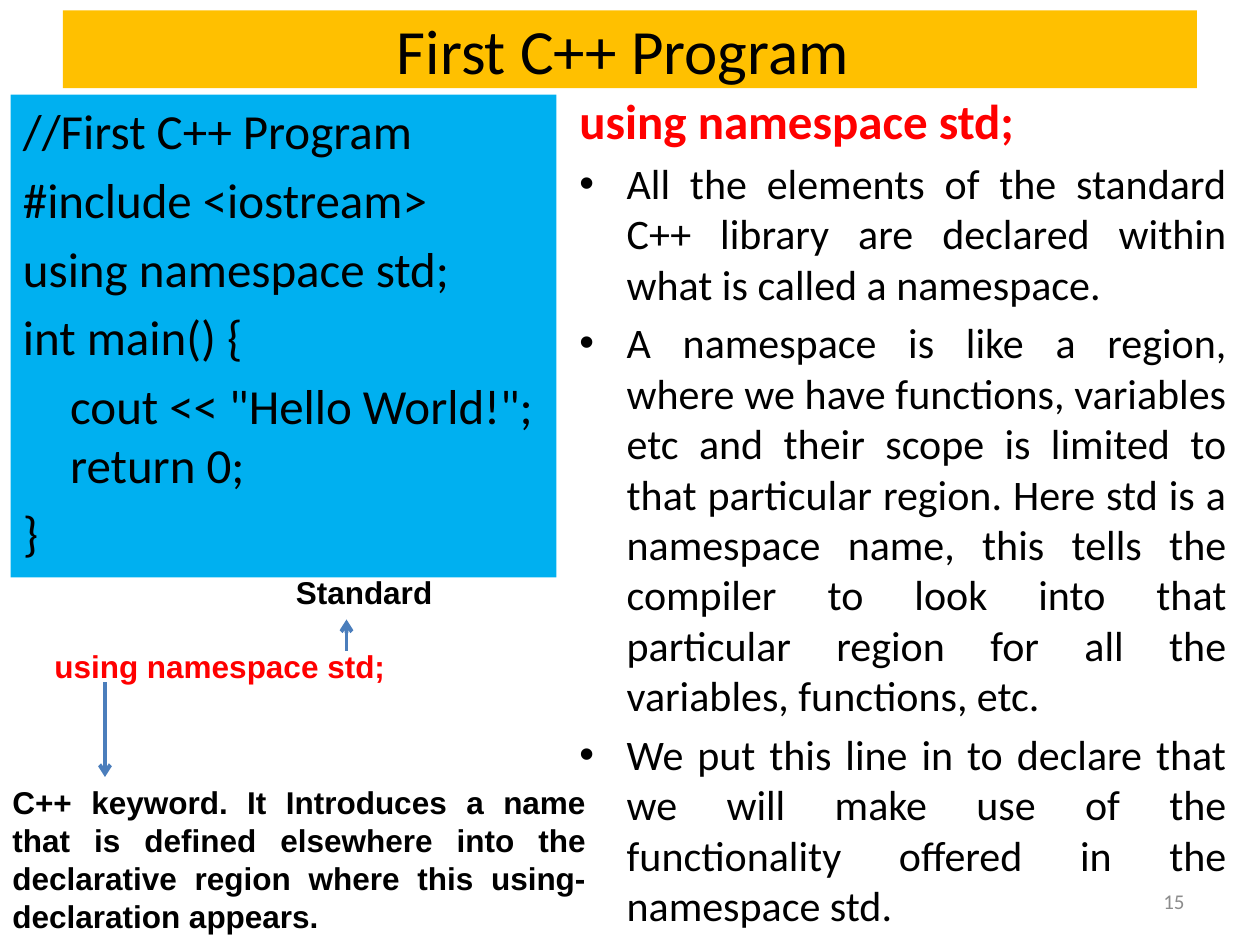
from lxml.etree import SubElement
from pptx import Presentation
from pptx.dml.color import RGBColor
from pptx.enum.shapes import MSO_CONNECTOR, MSO_SHAPE
from pptx.enum.text import MSO_ANCHOR as ANCHOR, PP_ALIGN as ALIGN
from pptx.oxml.ns import qn
from pptx.util import Inches, Pt

BLACK = RGBColor(0x00, 0x00, 0x00)
RED = RGBColor(0xFF, 0x00, 0x00)
GOLD = RGBColor(0xFF, 0xC0, 0x00)
SKY = RGBColor(0x00, 0xB0, 0xF0)
STEEL = RGBColor(0x4B, 0x7E, 0xBC)
GREY = RGBColor(0x8C, 0x8C, 0x8C)

CODE = [
    "//First C++ Program",
    "#include <iostream>",
    "using namespace std;",
    "int main() {",
    "\tcout << \"Hello World!\";\vreturn 0;",
    "}",
]
DIRECTIVE = "using namespace std;"
POINTS = [
    "All the elements of the standard C++ library are declared within what is "
    "called a namespace.",
    "A namespace is like a region, where we have functions, variables etc and "
    "their scope is limited to that particular region. Here std is a namespace "
    "name, this tells the compiler to look into that particular region for all "
    "the variables, functions, etc. ",
    "We put this line in to declare that we will make use of the functionality "
    "offered in the namespace std. ",
]
KEYWORD_NOTE = (
    "C++ keyword. It Introduces a name that is defined elsewhere into the "
    "declarative region where this using-declaration appears."
)


def grid(*cells):
    """Turn grid cells, twelve to the inch, into lengths."""
    return [Inches(cell / 12) for cell in cells]


class SlideBuilder:
    def __init__(self, slide, font="Calibri", note_font="Arial"):
        self.slide = slide
        self.font = font
        self.note_font = note_font

    def panel(self, box, fill, anchor=ANCHOR.TOP):
        sp = self.slide.shapes.add_shape(MSO_SHAPE.RECTANGLE, *grid(*box))
        sp.shadow.inherit = False
        sp.fill.solid()
        sp.fill.fore_color.rgb = fill
        sp.line.fill.background()
        return self.frame(sp, anchor)

    def text_box(self, box, anchor=ANCHOR.TOP, wrap=True):
        return self.frame(self.slide.shapes.add_textbox(*grid(*box)), anchor, wrap)

    def frame(self, sp, anchor, wrap=True):
        tf = sp.text_frame
        tf.word_wrap = wrap
        tf.vertical_anchor = anchor
        return tf

    def paragraph(self, tf, text, size, color=BLACK, bold=False, align=ALIGN.LEFT,
                  font=None):
        p = tf.paragraphs[0]
        if p.runs:
            p = tf.add_paragraph()
        p.text = text
        p.alignment = align
        p.font.name = font or self.font
        p.font.size = Pt(size)
        p.font.bold = bold
        p.font.color.rgb = color
        return p

    def hanging(self, tf, text, size, bullet=False, **style):
        """Add a paragraph with a hanging indent and a fifth of its size above."""
        p = self.paragraph(tf, text, size, **style)
        p.space_before = Pt(size * 0.2)
        pPr = p._p.get_or_add_pPr()
        pPr.set("marL", str(Inches(0.375)))
        pPr.set("indent", str(-Inches(0.375)))
        if bullet:
            mark_font = pPr.makeelement(qn("a:buFont"), {"typeface": "Arial"})
            mark = pPr.makeelement(qn("a:buChar"), {"char": "•"})
            pPr.find(qn("a:defRPr")).addprevious(mark_font)
            mark_font.addnext(mark)

    def note(self, box, text, color=BLACK, align=ALIGN.LEFT, wrap=False):
        tf = self.text_box(box, wrap=wrap)
        self.paragraph(tf, text, 18, color, True, align, self.note_font)

    def arrow(self, column, start, end):
        line = self.slide.shapes.add_connector(
            MSO_CONNECTOR.STRAIGHT, *grid(column, start, column, end))
        line.line.color.rgb = STEEL
        line.line.width = Pt(2.25)
        SubElement(line.line._get_or_add_ln(), qn("a:tailEnd"), type="arrow")
        SubElement(line._element.spPr, qn("a:effectLst"))


def main():
    prs = Presentation()
    prs.slide_width, prs.slide_height = grid(120, 90)
    s = SlideBuilder(prs.slides.add_slide(prs.slide_layouts[6]))

    title = s.panel((6, 1, 108, 7.4), GOLD, ANCHOR.MIDDLE)
    s.paragraph(title, "First C++ Program ", 36, align=ALIGN.CENTER)

    explanation = s.text_box((54, 8, 64, 48))
    s.hanging(explanation, DIRECTIVE, 28, color=RED, bold=True, align=ALIGN.JUSTIFY)
    for point in POINTS:
        s.hanging(explanation, point, 24, bullet=True, align=ALIGN.JUSTIFY)

    number = s.text_box((86, 83.4, 28, 4.8), ANCHOR.MIDDLE)
    s.paragraph(number, "15", 12, GREY, align=ALIGN.RIGHT)

    listing = s.panel((1, 9, 52, 46), SKY)
    for line in CODE:
        s.hanging(listing, line, 28)

    s.note((4, 61, 34.2, 4.8), DIRECTIVE, RED, ALIGN.JUSTIFY)
    s.arrow(10, 65, 74)
    s.arrow(33, 62, 59)
    s.note((27, 54, 15.6, 4.8), "Standard")
    s.note((0, 74, 57, 15.7), KEYWORD_NOTE, align=ALIGN.JUSTIFY, wrap=True)

    prs.save("out.pptx")


if __name__ == "__main__":
    main()
